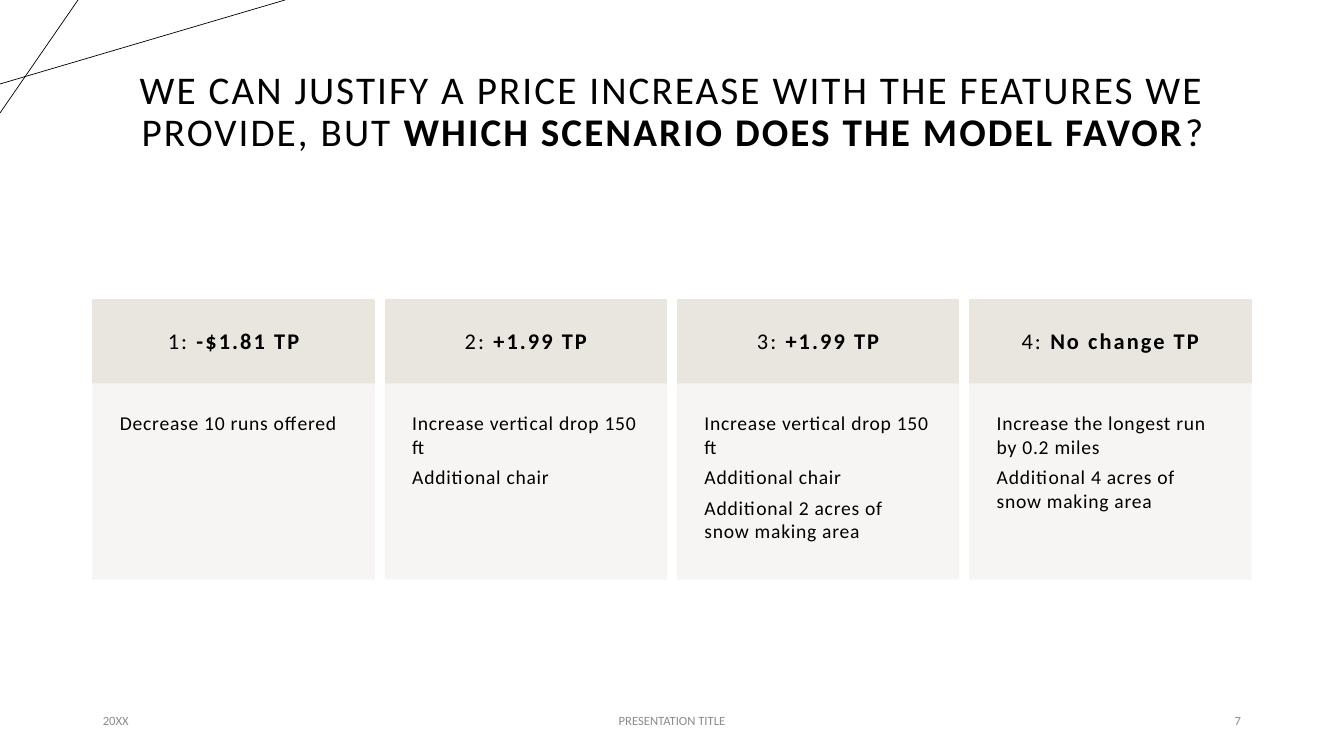
from dataclasses import dataclass

from lxml.etree import SubElement
from pptx import Presentation
from pptx.dml.color import RGBColor
from pptx.enum.shapes import MSO_CONNECTOR, MSO_SHAPE
from pptx.enum.text import MSO_ANCHOR, PP_ALIGN
from pptx.oxml.ns import qn
from pptx.util import Pt

SCALE = 914400 / 100.8


@dataclass(frozen=True)
class Theme:
    """Colours, font and type sizes of the slide."""
    font: str = "Calibri"
    ink: RGBColor = RGBColor(0x00, 0x00, 0x00)
    muted: RGBColor = RGBColor(0x8C, 0x8C, 0x8C)
    header: RGBColor = RGBColor(0xE9, 0xE6, 0xDF)
    panel: RGBColor = RGBColor(0xF7, 0xF5, 0xF3)
    title_size: int = 28
    header_size: int = 16
    body_size: int = 14
    footer_size: int = 9


THEME = Theme()
TITLE = [
    ("WE CAN JUSTIFY A PRICE INCREASE WITH THE FEATURES WE PROVIDE, BUT ", False),
    ("WHICH SCENARIO DOES THE MODEL FAVOR", True),
    ("?", False),
]
SCENARIOS = [
    ("-$1.81 TP", ["Decrease 10 runs offered"]),
    ("+1.99 TP", ["Increase vertical drop 150 ft", "Additional chair"]),
    ("+1.99 TP", ["Increase vertical drop 150 ft", "Additional chair",
                  "Additional 2 acres of snow making area"]),
    ("No change TP", ["Increase the longest run by 0.2 miles",
                      "Additional 4 acres of snow making area"]),
]


def px(*lengths):
    """Turn px lengths into EMU."""
    return [round(n * SCALE) for n in lengths]


def apply(obj, formats):
    """Set each attribute named in formats on obj."""
    for name, value in formats.items():
        setattr(obj, name, value)


def write(sp, paragraphs, size, color=THEME.ink, spacing=0, inset=None,
          anchor=MSO_ANCHOR.MIDDLE, **layout):
    """Fill a shape with paragraphs of (text, bold) runs."""
    tf = sp.text_frame
    apply(tf, {"word_wrap": True, "vertical_anchor": anchor})
    if inset is not None:
        sides = ("left", "top", "right", "bottom")
        apply(tf, {f"margin_{side}": px(inset)[0] for side in sides})
    for i, runs in enumerate(paragraphs):
        p = tf.add_paragraph() if i else tf.paragraphs[0]
        apply(p, layout)
        for text, bold in runs:
            r = p.add_run()
            r.text = text
            apply(r.font, {"name": THEME.font, "size": Pt(size), "bold": bold})
            r.font.color.rgb = color
            r.font._element.set("spc", str(spacing))


def add_panel(s, box, color, opacity=100):
    """Draw a flat rectangle whose outline matches its fill."""
    sp = s.shapes.add_shape(MSO_SHAPE.RECTANGLE, *px(*box))
    sp.shadow.inherit = False
    sp.fill.solid()
    sp.fill.fore_color.rgb = color
    sp.line.color.rgb = color
    sp.line.width = Pt(1)
    if opacity < 100:
        for clr in sp._element.spPr.iter(qn("a:srgbClr")):
            SubElement(clr, qn("a:alpha"), val=str(opacity * 1000))
    return sp


def add_corner_lines(s, x, y, w, h):
    """Cross two thin lines in the corner box."""
    for ends in ((x, y + 84, x + w, y), (x + 78, y, x, y + h)):
        line = s.shapes.add_connector(MSO_CONNECTOR.STRAIGHT, *px(*ends))
        line.line.color.rgb = THEME.ink
        line.line.width = Pt(0.5)
        SubElement(line._element.spPr, qn("a:effectLst"))


def add_title(s, x, y, w, h):
    """Place the headline in its box."""
    sp = s.shapes.add_textbox(*px(x, y, w, h))
    write(sp, [TITLE], THEME.title_size, spacing=150,
          alignment=PP_ALIGN.CENTER, line_spacing=0.9)


def add_card(s, x, y, w, h, number, change, features):
    """Stack a scenario header on its list of features."""
    head = 84
    sp = add_panel(s, (x, y, w, head), THEME.header)
    write(sp, [[(f"{number}: ", False), (change, True)]], THEME.header_size,
          spacing=150, inset=22, alignment=PP_ALIGN.CENTER, line_spacing=0.9)
    sp = add_panel(s, (x, y + head, w, h - head), THEME.panel, opacity=90)
    write(sp, [[(feature, False)] for feature in features], THEME.body_size,
          spacing=50, inset=27, anchor=MSO_ANCHOR.TOP,
          alignment=PP_ALIGN.LEFT, space_after=Pt(5))


def add_cards(s, x, y, w, h, gap=11):
    """Spread the scenario cards evenly across the box."""
    count = len(SCENARIOS)
    card_w = (w - gap * (count - 1)) / count
    for i, (change, features) in enumerate(SCENARIOS):
        add_card(s, x + i * (card_w + gap), y, card_w, h, i + 1, change, features)


def add_footer(s, x, y, w, h):
    """Set date, presentation title and page number in one row."""
    side, middle = 302, 454
    parts = [
        ("20XX", x, side, PP_ALIGN.LEFT),
        ("PRESENTATION TITLE", x + (w - middle) / 2, middle, PP_ALIGN.CENTER),
        ("7", x + w - side, side, PP_ALIGN.RIGHT),
    ]
    for text, left, width, alignment in parts:
        sp = s.shapes.add_textbox(*px(left, y, width, h))
        write(sp, [[(text, False)]], THEME.footer_size, THEME.muted,
              alignment=alignment)


def main():
    """Build and save the slide."""
    prs = Presentation()
    prs.slide_width, prs.slide_height = px(1344, 756)
    s = prs.slides.add_slide(prs.slide_layouts[6])
    add_corner_lines(s, 0, 0, 285, 113)
    add_title(s, 93, 40, 1159, 146)
    add_cards(s, 93, 300, 1158, 279)
    add_footer(s, 93, 701, 1158, 40)
    prs.save("out.pptx")


if __name__ == "__main__":
    main()
